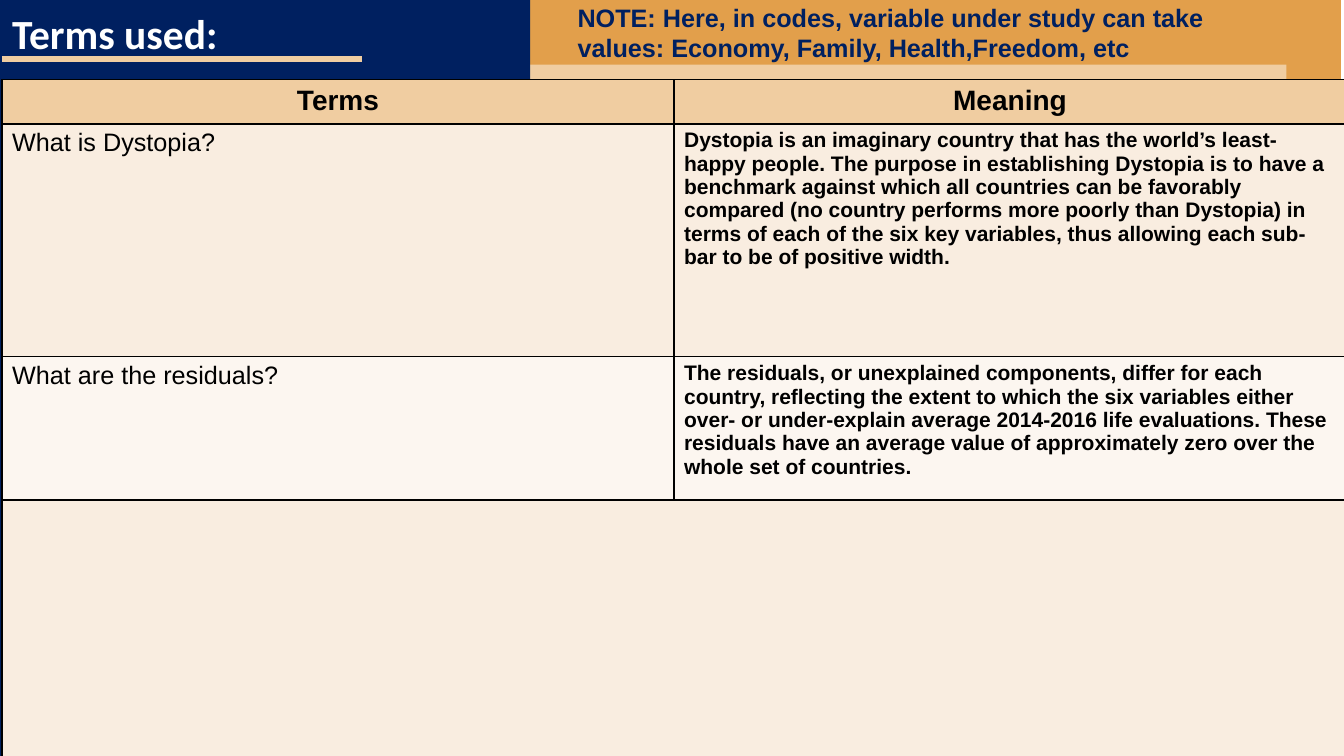
"""Build the slide that explains the terms used."""
import dataclasses

import lxml.etree
import pptx
import pptx.dml.color
import pptx.enum.shapes
import pptx.enum.text
import pptx.oxml
import pptx.oxml.ns
import pptx.util

Inches = pptx.util.Inches
ALIGN = pptx.enum.text.PP_ALIGN
ANCHOR = pptx.enum.text.MSO_ANCHOR


@dataclasses.dataclass(frozen=True)
class Theme:
    """Hold the colours, fonts and type sizes of the slide."""
    navy: str = "002060"
    orange: str = "E29F4B"
    sand: str = "F0CDA1"
    cream: str = "F9EDE0"
    ivory: str = "FCF6F0"
    black: str = "000000"
    white: str = "FFFFFF"
    title_font: str = "Calibri"
    body_font: str = "Arial"
    title_size: float = 29.6
    header_size: float = 20
    term_size: float = 18
    meaning_size: float = 15


THEME = Theme()

TERMS = [
    ("What is Dystopia?",
     "Dystopia is an imaginary country that has the world’s least-happy people. "
     "The purpose in establishing Dystopia is to have a benchmark against which "
     "all countries can be favorably compared (no country performs more poorly "
     "than Dystopia) in terms of each of the six key variables, thus allowing "
     "each sub-bar to be of positive width."),
    ("What are the residuals?",
     "The residuals, or unexplained components, differ for each country, "
     "reflecting the extent to which the six variables either over- or "
     "under-explain average 2014-2016 life evaluations. These residuals have an "
     "average value of approximately zero over the whole set of countries."),
]


def rgb(color):
    """Turn a hex string into a colour."""
    return pptx.dml.color.RGBColor.from_string(color)


def set_attrs(target, values):
    """Set each attribute named in a dict of format values."""
    for name, value in values.items():
        setattr(target, name, value)


def write(tf, text, size, color, font=THEME.body_font, bold=True, **paragraph):
    """Write one formatted paragraph into a text frame."""
    p = tf.paragraphs[0]
    set_attrs(p, {"alignment": ALIGN.LEFT, **paragraph})
    r = p.add_run()
    r.text = text
    set_attrs(r.font, {"name": font, "size": pptx.util.Pt(size), "bold": bold})
    r.font.color.rgb = rgb(color)


def add_panel(s, left, top, width, height, color):
    """Add a plain filled rectangle."""
    sp = s.shapes.add_shape(pptx.enum.shapes.MSO_SHAPE.RECTANGLE,
                            *map(Inches, (left, top, width, height)))
    sp.shadow.inherit = False
    sp.fill.solid()
    sp.fill.fore_color.rgb = rgb(color)
    sp.line.fill.background()


def add_rule(s, left, top, length, color, weight):
    """Add a horizontal line."""
    line = s.shapes.add_connector(
        pptx.enum.shapes.MSO_CONNECTOR.STRAIGHT,
        *map(Inches, (left, top, left + length, top)))
    line.line.color.rgb = rgb(color)
    line.line.width = pptx.util.Pt(weight)
    lxml.etree.SubElement(line._element.spPr, pptx.oxml.ns.qn("a:effectLst"))


def set_title(s, text):
    """Place and format the slide title."""
    sp = s.shapes.title
    set_attrs(sp, {"left": Inches(0.02), "top": Inches(0.11),
                   "width": Inches(3.5), "height": Inches(0.52)})
    set_attrs(sp.text_frame, {"vertical_anchor": ANCHOR.MIDDLE, "word_wrap": True,
                              "auto_size": pptx.enum.text.MSO_AUTO_SIZE.NONE})
    write(sp.text_frame, text, THEME.title_size, THEME.white,
          THEME.title_font, line_spacing=0.8)


def add_note(s, text):
    """Add the note in the header band."""
    sp = s.shapes.add_textbox(*map(Inches, (5.63, -0.03, 6.75, 0.71)))
    sp.text_frame.word_wrap = True
    write(sp.text_frame, text, THEME.term_size, THEME.navy)


def style_cell(cell, fill):
    """Give a cell its borders and fill."""
    tc_pr = cell._tc.get_or_add_tcPr()
    for side in ("lnL", "lnR", "lnT", "lnB"):
        tc_pr.append(pptx.oxml.parse_xml(
            f'<a:{side} {pptx.oxml.ns.nsdecls("a")} w="12700"><a:solidFill>'
            f'<a:srgbClr val="{THEME.black}"/></a:solidFill></a:{side}>'))
    cell.fill.solid()
    cell.fill.fore_color.rgb = rgb(fill)


def add_terms_table(s, terms):
    """Add the table of terms with a merged empty last row."""
    heights = (0.44, 2.31, 1.42, 4.37)
    fills = (THEME.sand, THEME.cream, THEME.ivory, THEME.cream)
    table = s.shapes.add_table(
        len(heights), 2,
        *map(Inches, (0.02, 0.79, 13.33, sum(heights)))).table
    set_attrs(table, {"first_row": False, "horz_banding": False})
    for row, height, fill in zip(table.rows, heights, fills):
        row.height = Inches(height)
        for cell in row.cells:
            style_cell(cell, fill)
    for col, heading in enumerate(("Terms", "Meaning")):
        write(table.cell(0, col).text_frame, heading, THEME.header_size,
              THEME.black, alignment=ALIGN.CENTER)
    for row, (term, meaning) in enumerate(terms, 1):
        write(table.cell(row, 0).text_frame, term, THEME.term_size,
              THEME.black, bold=False)
        write(table.cell(row, 1).text_frame, meaning, THEME.meaning_size,
              THEME.black)
    table.cell(3, 0).merge(table.cell(3, 1))


def main():
    """Build and save the slide."""
    prs = pptx.Presentation()
    set_attrs(prs, {"slide_width": Inches(13.33), "slide_height": Inches(7.5)})
    s = prs.slides.add_slide(prs.slide_layouts[5])
    add_panel(s, 5.23, 0, 8.07, 7.5, THEME.orange)
    add_panel(s, 0, 0.64, 12.76, 6.39, THEME.sand)
    add_panel(s, 0, 0, 5.26, 7.5, THEME.navy)
    add_rule(s, 0.02, 0.59, 3.57, THEME.sand, 4.32)
    set_title(s, "Terms used:")
    s.shapes._spTree.append(s.shapes.title._element)
    add_terms_table(s, TERMS)
    add_note(s, "NOTE: Here, in codes, variable under study can take values: "
                "Economy, Family, Health,Freedom, etc")
    prs.save("out.pptx")


main()
